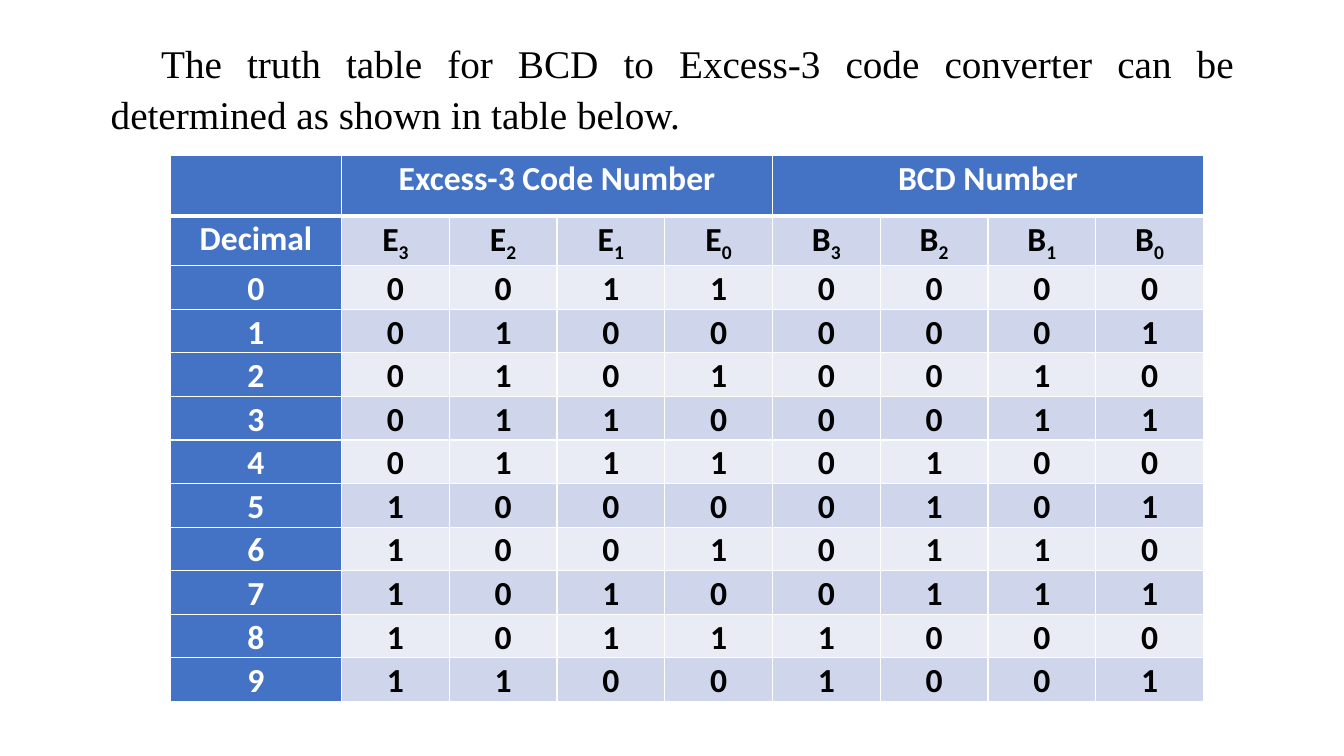
from lxml import etree
from pptx import Presentation
from pptx.dml.color import RGBColor
from pptx.enum.text import MSO_AUTO_SIZE, PP_ALIGN
from pptx.oxml.ns import qn
from pptx.util import Inches, Pt

BLACK = RGBColor(0x00, 0x00, 0x00)
WHITE = RGBColor(0xFF, 0xFF, 0xFF)
BLUE = RGBColor(0x44, 0x72, 0xC4)
BAND_DARK = RGBColor(0xCF, 0xD5, 0xEA)
BAND_LIGHT = RGBColor(0xE9, 0xEB, 0xF5)

SLIDE_W, SLIDE_H = Inches(13.33), Inches(7.5)
GRID_COLS, GRID_ROWS = 160, 90
INTRO_BOX = (12, 3.72, 136.1, 12.96)
TABLE_BOX = (20.28, 18.48, 123, 65.04)
COL_SHARES = [1.7] + [1.07] * 8
ROW_SHARES = [0.6, 0.49] + [0.43] * 10

INTRO = ("The truth table for BCD to Excess-3 code converter can be "
         "determined as shown in table below.")
GROUPS = {1: "Excess-3 Code Number", 5: "BCD Number"}


def grid_box(left, top, width, height):
    col, row = SLIDE_W / GRID_COLS, SLIDE_H / GRID_ROWS
    return int(left * col), int(top * row), int(width * col), int(height * row)


def write(tf, text, subscript="", font="Calibri", size=24, color=BLACK,
          bold=True, align=PP_ALIGN.CENTER):
    p = tf.paragraphs[0]
    p.alignment = align
    p.line_spacing = 1.07
    for part, offset in ((text, None), (subscript, "-25000")):
        if not part:
            continue
        r = p.add_run()
        r.text = part
        r.font.name = font
        r.font.size = Pt(size)
        r.font.bold = bold
        r.font.color.rgb = color
        if offset:
            r.font._element.set("baseline", offset)
    return p


def set_borders(cell, bottom=1, top=1):
    tc_pr = cell._tc.get_or_add_tcPr()
    widths = (("lnL", 1), ("lnR", 1), ("lnT", top), ("lnB", bottom))
    for i, (side, width) in enumerate(widths):
        ln = etree.Element(qn(f"a:{side}"), w=str(Pt(width)))
        fill = etree.SubElement(ln, qn("a:solidFill"))
        etree.SubElement(fill, qn("a:srgbClr"), val=str(WHITE))
        tc_pr.insert(i, ln)


def add_intro(s, box):
    tf = s.shapes.add_textbox(*box).text_frame
    tf.word_wrap = True
    tf.auto_size = MSO_AUTO_SIZE.SHAPE_TO_FIT_TEXT
    p = write(tf, INTRO, font="Times New Roman", size=28, bold=False,
              align=PP_ALIGN.JUSTIFY)
    p.space_after = Pt(8)
    p._p.get_or_add_pPr().set("indent", str(Inches(0.5)))


def truth_rows():
    header = [("Decimal", "")]
    header += [(letter, str(bit)) for letter in "EB" for bit in (3, 2, 1, 0)]
    digits = [[(value, "") for value in [str(n), *f"{n + 3:04b}{n:04b}"]]
              for n in range(10)]
    return [header] + digits


def add_truth_table(s, box):
    left, top, width, height = box
    table = s.shapes.add_table(len(ROW_SHARES), len(COL_SHARES), *box).table
    table.first_col = True
    for column, share in zip(table.columns, COL_SHARES):
        column.width = int(width * share / sum(COL_SHARES))
    for row, share in zip(table.rows, ROW_SHARES):
        row.height = int(height * share / sum(ROW_SHARES))

    for i, row in enumerate(table.rows):
        for j, cell in enumerate(row.cells):
            band = BAND_DARK if i % 2 else BAND_LIGHT
            cell.fill.solid()
            cell.fill.fore_color.rgb = BLUE if i == 0 or j == 0 else band
            cell.margin_left = cell.margin_right = Inches(0.07)
            cell.margin_top = cell.margin_bottom = 0
            set_borders(cell, bottom=3 if i == 0 else 1, top=3 if i == 1 else 1)

    for j, title in GROUPS.items():
        table.cell(0, j).merge(table.cell(0, j + 3))
        write(table.cell(0, j).text_frame, title, color=WHITE)
    for i, row in enumerate(truth_rows(), 1):
        for j, (text, subscript) in enumerate(row):
            write(table.cell(i, j).text_frame, text, subscript,
                  color=BLACK if j else WHITE)


def main():
    prs = Presentation()
    prs.slide_width, prs.slide_height = SLIDE_W, SLIDE_H
    s = prs.slides.add_slide(prs.slide_layouts[6])
    add_intro(s, grid_box(*INTRO_BOX))
    add_truth_table(s, grid_box(*TABLE_BOX))
    prs.save("out.pptx")


if __name__ == "__main__":
    main()
